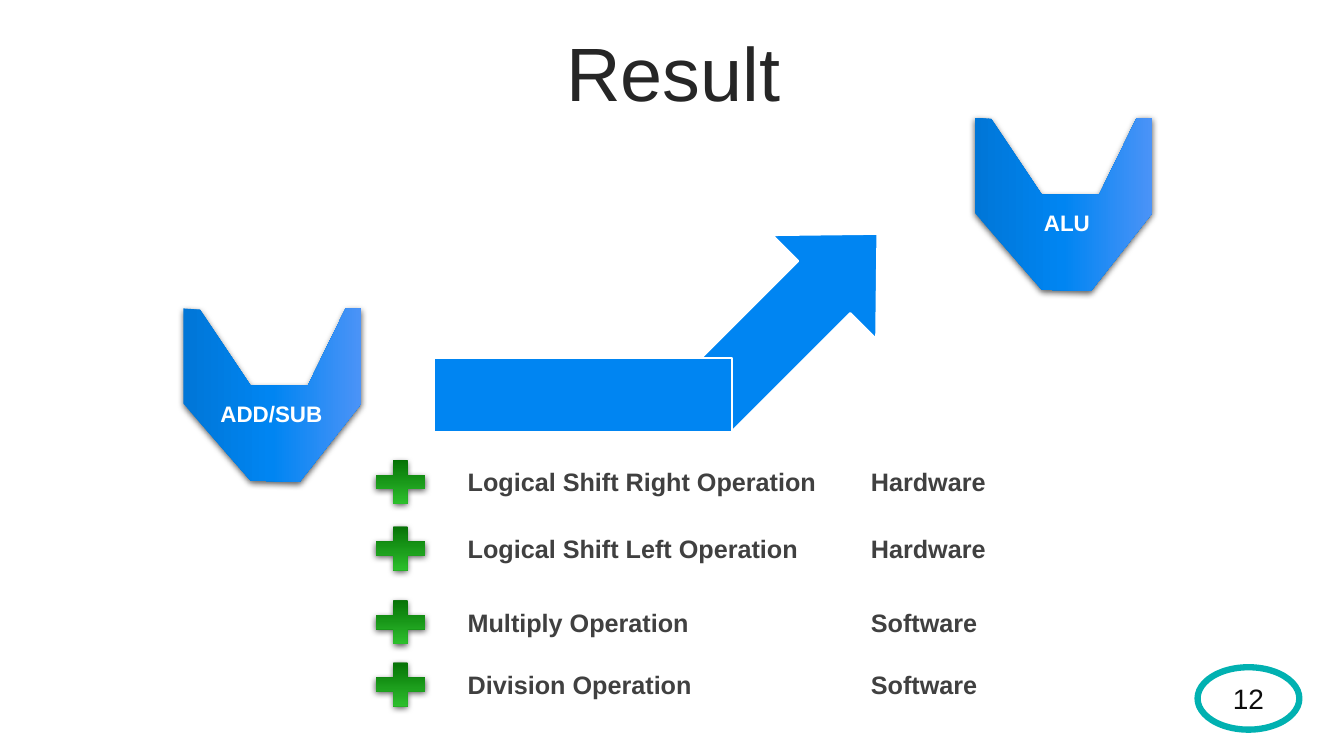
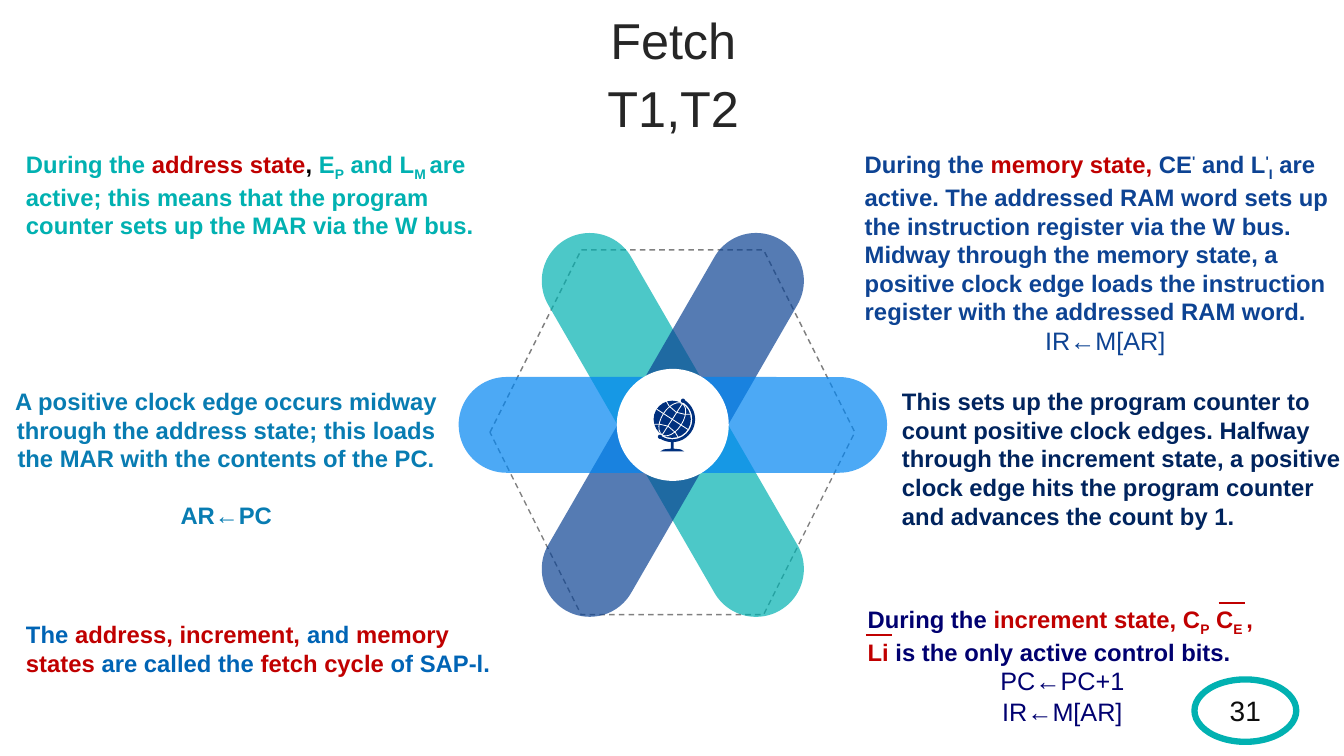
"""Build two slides on an ALU result and the fetch cycle."""
import math
from dataclasses import dataclass

from lxml import etree
from pptx import Presentation
from pptx import util as u
from pptx.dml.color import RGBColor
from pptx.enum import dml, shapes, text
from pptx.oxml.ns import qn

Pt = u.Pt
MSO = shapes.MSO_SHAPE
LEFT, CENTER = text.PP_ALIGN.LEFT, text.PP_ALIGN.CENTER
TOP, MIDDLE = text.MSO_ANCHOR.TOP, text.MSO_ANCHOR.MIDDLE


@dataclass(frozen=True)
class Theme:
    font: str = "Arial"
    ink: str = "262626"
    body: str = "404040"
    number: str = "0D0D0D"
    black: str = "000000"
    white: str = "FFFFFF"
    grey: str = "808080"
    teal: str = "01B1B1"
    blue: str = "0085F2"
    royal: str = "0D4393"
    ocean: str = "087CB2"
    cobalt: str = "0064B5"
    navy: str = "00245E"
    indigo: str = "000070"
    globe: str = "00307E"
    red: str = "C00000"
    unit: tuple = ("0076D7", "0085F2", "4B93F7")
    plus: tuple = ("006600", "33CC33")
    title: int = 54
    subtitle: int = 36
    badge: int = 20
    item: int = 18
    note: int = 17
    label: int = 16


T = Theme()
SUB, SUP = {"base": -25}, {"base": 30}
RED = {"color": T.red}


def add_run(p, words, size=T.note, color=T.ink, bold=False, base=0):
    r = p.add_run()
    r.text = words
    r.font.name, r.font.size, r.font.bold = T.font, Pt(size), bold
    r.font.color.rgb = RGBColor.from_string(color)
    if base:
        r._r.get_or_add_rPr().set("baseline", str(base * 1000))


class Deck:
    def __init__(self):
        self.prs = Presentation()
        self.prs.slide_width, self.prs.slide_height = Pt(960), Pt(540)
        self.s = None

    def slide(self, title, size, number, badge_x, badge_y):
        self.s = self.prs.slides.add_slide(self.prs.slide_layouts[6])
        tf = self.text(25.2, 26.6, 911.5, 56.9, *title, size=size, align=CENTER, anchor=MIDDLE)
        for p in tf.paragraphs:
            p.line_spacing, p.space_before = 0.9, Pt(10)
        sp = self.shape(MSO.OVAL, badge_x, badge_y, 72.7, 44.6, line=T.teal, width=4.5)
        self.fill_text(sp.text_frame, [number], size=T.badge, color=T.number,
                       align=CENTER, anchor=MIDDLE)

    def fill_text(self, tf, paras, align=LEFT, anchor=TOP, **fmt):
        tf.word_wrap, tf.vertical_anchor = True, anchor
        for i, runs in enumerate(paras):
            p = tf.add_paragraph() if i else tf.paragraphs[0]
            p.alignment = align
            for run in [runs] if isinstance(runs, str) else runs:
                words, extra = (run, {}) if isinstance(run, str) else run
                add_run(p, words, **{**fmt, **extra})
        return tf

    def text(self, x, y, w, h, *paras, **fmt):
        sp = self.s.shapes.add_textbox(Pt(x), Pt(y), Pt(w), Pt(h))
        return self.fill_text(sp.text_frame, paras, **fmt)

    def style(self, sp, fill=None, line=None, width=1.5, dash=False,
              alpha=None, angle=0, shadow=False):
        sp.shadow.inherit = False
        if isinstance(fill, tuple):
            self.gradient(sp, fill, angle)
        elif fill:
            sp.fill.solid()
            sp.fill.fore_color.rgb = RGBColor.from_string(fill)
        else:
            sp.fill.background()
        if alpha:
            clr = sp._element.spPr.find(".//" + qn("a:srgbClr"))
            etree.SubElement(clr, qn("a:alpha"), val=str(alpha * 1000))
        if line:
            sp.line.color.rgb = RGBColor.from_string(line)
            sp.line.width = Pt(width)
            if dash:
                sp.line.dash_style = dml.MSO_LINE.DASH
        else:
            sp.line.fill.background()
        if shadow:
            fx = sp._element.spPr.find(qn("a:effectLst"))
            sh = etree.SubElement(fx, qn("a:outerShdw"), blurRad=str(int(Pt(4.5))),
                                  dist=str(int(Pt(1.5))), dir="5400000", rotWithShape="0")
            clr = etree.SubElement(sh, qn("a:srgbClr"), val=T.black)
            etree.SubElement(clr, qn("a:alpha"), val="63000")
        return sp

    def gradient(self, sp, colors, angle):
        sp.fill.gradient()
        sp.fill.gradient_angle = angle
        stops = sp._element.spPr.find(".//" + qn("a:gsLst"))
        for gs in list(stops):
            stops.remove(gs)
        for i, color in enumerate(colors):
            gs = etree.SubElement(stops, qn("a:gs"), pos=str(100000 * i // (len(colors) - 1)))
            etree.SubElement(gs, qn("a:srgbClr"), val=color)

    def shape(self, kind, x, y, w, h, rot=0, adj=(), **look):
        sp = self.s.shapes.add_shape(kind, Pt(x), Pt(y), Pt(w), Pt(h))
        sp.rotation = rot
        for i, value in enumerate(adj):
            sp.adjustments[i] = value
        return self.style(sp, **look)

    def disc(self, cx, cy, rx, ry, **look):
        return self.shape(MSO.OVAL, cx - rx, cy - ry, 2 * rx, 2 * ry, **look)

    def outline(self, x, y, points, close=True, **look):
        pts = [(Pt(x + dx), Pt(y + dy)) for dx, dy in points]
        fb = self.s.shapes.build_freeform(*pts[0])
        fb.add_line_segments(pts[1:], close=close)
        return self.style(fb.convert_to_shape(), **look)

    def overline(self, x, y, w):
        c = self.s.shapes.add_connector(shapes.MSO_CONNECTOR.STRAIGHT,
                                        Pt(x), Pt(y), Pt(x + w), Pt(y))
        c.line.color.rgb, c.line.width = RGBColor.from_string(T.red), Pt(1.5)
        etree.SubElement(c._element.spPr, qn("a:effectLst"))

    def unit(self, x, y, label, align):
        points = [(127, 0), (127, 68), (83, 124), (48, 123), (0, 68), (0, 0),
                  (12, 1), (48, 55), (89, 55), (116, 0)]
        self.outline(x, y, points, fill=T.unit, shadow=True)
        self.text(x + 19.4, y + 62, 93, 26.6, label, size=T.label,
                  color=T.white, bold=True, align=align)

    def operation(self, y, name, kind):
        self.shape(MSO.MATH_PLUS, 262, y, 48, 42, fill=T.plus, angle=270, shadow=True)
        tf = self.text(327, y + 6.5, 393, 29, f"{name}\t{kind}", size=T.item,
                       color=T.body, bold=True)
        tabs = etree.SubElement(tf.paragraphs[0]._p.get_or_add_pPr(), qn("a:tabLst"))
        etree.SubElement(tabs, qn("a:tab"), pos=str(int(Pt(288))), algn="l")

    def globe(self, cx, cy):
        r, tilt = 13.3, 33
        self.disc(cx, cy, r, r, fill=T.globe)
        grid = {"line": T.white, "width": 0.6}
        self.disc(cx, cy, 7.5, r, rot=tilt, **grid)
        for angle in (tilt, tilt - 90):
            a = math.radians(angle)
            dx, dy = r * math.sin(a), -r * math.cos(a)
            self.outline(cx, cy, [(dx, dy), (-dx, -dy)], close=False, **grid)
        parallel = [(-4.3, -13), (-2.2, -9.4), (2.9, -5), (8.6, -3.6), (13, -3.6)]
        for sign in (1, -1):
            self.outline(cx, cy, [(sign * dx, sign * dy) for dx, dy in parallel],
                         close=False, **grid)
        ends = [(15.3 * math.cos(math.radians(a)), 15.3 * math.sin(math.radians(a)))
                for a in range(-60, 126, 5)]
        self.outline(cx, cy, ends, close=False, line=T.globe, width=2)
        for dx, dy in (ends[0], ends[-1]):
            self.disc(cx + dx, cy + dy, 1.5, 1.5, fill=T.globe)
        self.outline(cx, cy, [(-1, 15), (1, 15), (1, 21), (6, 21.5), (8.6, 23),
                              (-8.6, 23), (-6, 21.5), (-1, 21)], fill=T.globe)


def result_slide(d):
    d.slide(["Result"], T.title, "12", 855.4, 476.6)
    d.shape(MSO.UP_ARROW, 513.4, 141.8, 105.1, 172.1, rot=45, adj=(0.5, 0.512),
            fill=T.blue, line=T.white)
    d.shape(MSO.RECTANGLE, 310, 256, 213, 52.6, fill=T.blue, line=T.white)
    d.unit(131, 220.3, "ADD/SUB", LEFT)
    d.unit(696.2, 84, "ALU", CENTER)
    for y, name, kind in (
            (323.3, "Logical Shift Right Operation", "Hardware"),
            (370.8, "Logical Shift Left Operation", "Hardware"),
            (423.4, "Multiply Operation", "Software"),
            (468, "Division Operation", "Software")):
        d.operation(y, name, kind)


def fetch_slide(d):
    d.slide(["Fetch", "T1,T2"], T.subtitle, "31", 853.2, 485.3)
    d.shape(MSO.HEXAGON, 350, 178.5, 260.6, 260.6, line=T.grey, width=1, dash=True)
    for rot, color in ((330, T.teal), (30, T.royal), (90, T.blue)):
        d.shape(MSO.ROUNDED_RECTANGLE, 446.4, 150.5, 68.4, 306, rot=rot, adj=(0.5,),
                fill=color, alpha=70)
    d.disc(480.6, 303.5, 40, 40, fill=T.white)
    d.globe(480.2, 299.5)

    plain = {"size": T.item, "bold": False}
    note = {"size": T.note, "bold": True}
    tf = d.text(610.6, 103.7, 357.8, 170, [
        "During the ", ("memory state, ", RED), "CE", ("'", SUP), " and L", ("'", SUP),
        ("I", SUB), " are active. The addressed RAM word sets up the instruction register "
        "via the W bus. Midway through the memory state, a positive clock edge loads the "
        "instruction register with the addressed RAM word."],
        [("IR←M[AR]", plain)], color=T.royal, **note)
    tf.paragraphs[1].alignment = CENTER
    d.text(637.2, 272.9, 337, 110.2,
           "This sets up the program counter to count positive clock edges. Halfway through "
           "the increment state, a positive clock edge hits the program counter and advances "
           "the count by 1.", color=T.navy, **note)
    tf = d.text(612.7, 428.4, 292.3, 92.2, [
        "During the ", ("increment state, C", RED), ("P", {**RED, **SUB}), (" C", RED),
        ("E ", {**RED, **SUB}), (", Li ", RED), "is the only active control bits."],
        [("PC←PC+1", plain)], [("IR←M[AR]", plain)], color=T.indigo, **note)
    for p in tf.paragraphs[1:]:
        p.alignment = CENTER
    d.text(11.5, 439.2, 362.9, 48.2, [
        "The ", ("address, increment, ", RED), "and ", ("memory states ", RED),
        "are called the ", ("fetch cycle ", RED), "of SAP-l."], color=T.cobalt, **note)
    d.text(11.5, 103.7, 362.9, 134.6, [
        "During the ", ("address state", RED), (", ", {"color": T.black}), "E", ("P", SUB),
        " and L", ("M ", SUB), "are active; this means that the program counter sets up "
        "the MAR via the W bus."], color=T.teal, **note)
    tf = d.text(-2.2, 272.9, 327.6, 110.2,
                "A positive clock edge occurs midway through the address state; this loads "
                "the MAR with the contents of the PC.", "AR←PC",
                color=T.ocean, align=CENTER, **note)
    tf.paragraphs[1].space_before = Pt(20)
    d.overline(870.5, 430.6, 18.7)
    d.overline(618.5, 453.6, 18.7)


def main():
    d = Deck()
    result_slide(d)
    fetch_slide(d)
    d.prs.save("out.pptx")


if __name__ == "__main__":
    main()
